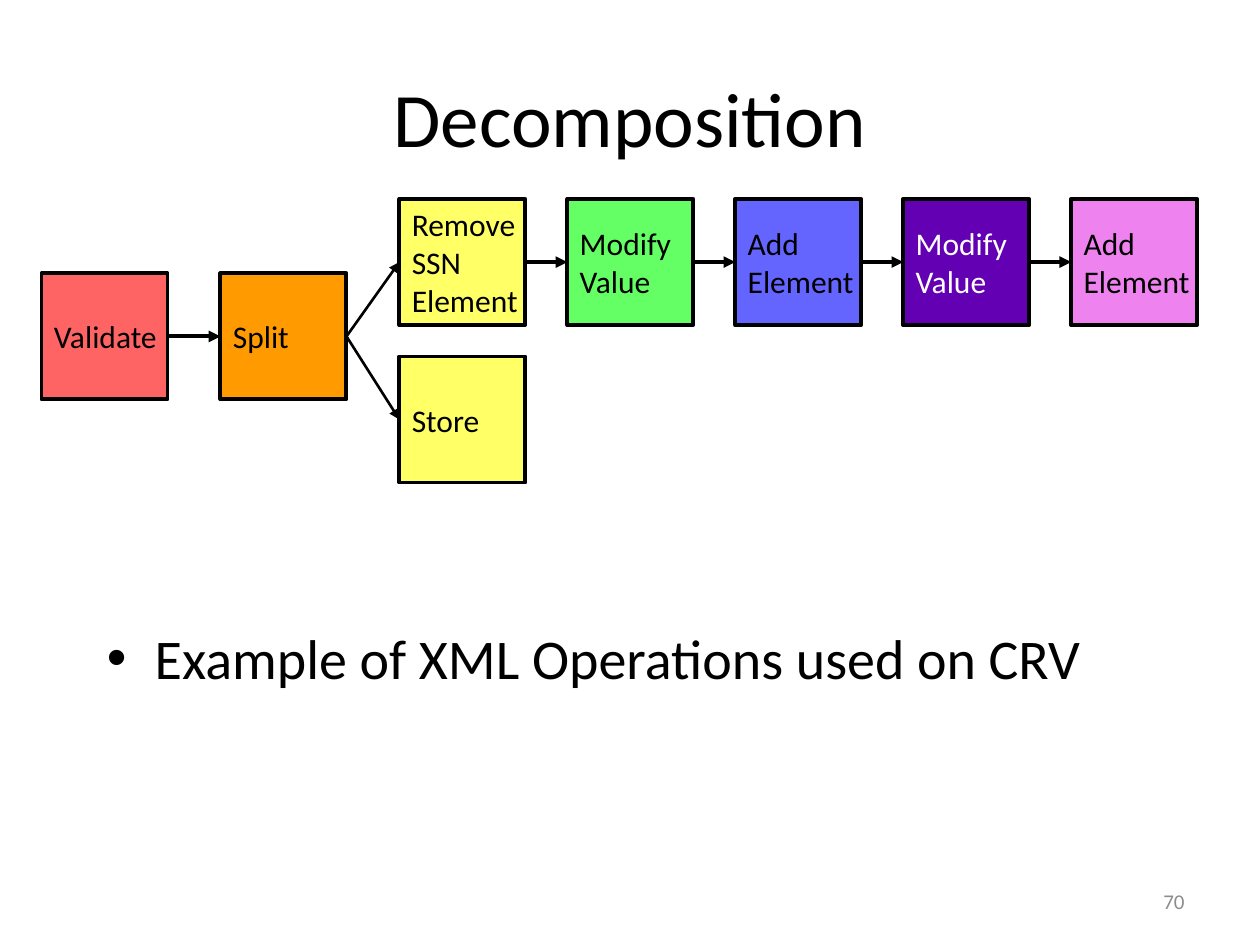
"""Build the Decomposition slide: a chain of XML operations with one split."""
from dataclasses import dataclass

from lxml.etree import SubElement
from pptx import Presentation
from pptx.dml.color import RGBColor as RGB
from pptx.enum.shapes import MSO_CONNECTOR as Connector, MSO_SHAPE as Shape
from pptx.enum.text import MSO_ANCHOR as Anchor, PP_ALIGN as Align
from pptx.oxml.ns import qn
from pptx.util import Inches, Pt


@dataclass(frozen=True)
class Theme:
    font: str = "Calibri"
    black: str = "000000"
    white: str = "FFFFFF"
    gray: str = "8C8C8C"
    red: str = "FF6464"
    orange: str = "FF9B00"
    yellow: str = "FFFF66"
    green: str = "64FF64"
    blue: str = "6464FF"
    purple: str = "6300B4"
    violet: str = "EE82EE"
    title_size: int = 44
    body_size: int = 32
    step_size: int = 18
    number_size: int = 12
    heavy_line: float = 2.25
    light_line: float = 1.5


theme = Theme()


def write(frame, text, size, color, align, anchor):
    frame.text = text
    frame.word_wrap = True
    frame.vertical_anchor = anchor
    for paragraph in frame.paragraphs:
        paragraph.alignment = align
        paragraph.font.name = theme.font
        paragraph.font.size = Pt(size)
        paragraph.font.color.rgb = RGB.from_string(color)


prs = Presentation()
prs.slide_width, prs.slide_height = Inches(10), Inches(7.5)
slide = prs.slides.add_slide(prs.slide_layouts[5])
shapes = slide.shapes

title = shapes.title
title.left, title.top = Inches(0.5), Inches(0.3)
title.width, title.height = Inches(9), Inches(1.25)
write(title.text_frame, "Decomposition", theme.title_size, theme.black, Align.CENTER, Anchor.MIDDLE)

page_number = shapes.add_textbox(Inches(7.17), Inches(6.95), Inches(2.33), Inches(0.4))
write(page_number.text_frame, "70", theme.number_size, theme.gray, Align.RIGHT, Anchor.MIDDLE)

summary = shapes.add_textbox(Inches(0.75), Inches(4.9), Inches(8.5), Inches(1.73))
write(summary.text_frame, "Example of XML Operations used on CRV",
      theme.body_size, theme.black, Align.LEFT, Anchor.TOP)
summary_line = summary.text_frame.paragraphs[0]
summary_line.space_before = Pt(theme.body_size * 0.2)
bullet_props = summary_line._p.get_or_add_pPr()
bullet_props.set("marL", str(Inches(0.38)))
bullet_props.set("indent", str(Inches(-0.38)))
bullet_font = SubElement(bullet_props, qn("a:buFont"))
bullet_font.set("typeface", "Arial")
bullet = SubElement(bullet_props, qn("a:buChar"))
bullet.set("char", "•")
bullet_props.append(bullet_props.find(qn("a:defRPr")))

entry_left, entry_pitch = 0.33, 1.42
branch_left, branch_pitch = 3.17, 1.333
entry_top, upper_top, lower_top = 2.17, 1.58, 2.83
operations = [
    ("Remove\nSSN\nElement", theme.yellow, theme.black),
    ("Modify\nValue", theme.green, theme.black),
    ("Add\nElement", theme.blue, theme.black),
    ("Modify\nValue", theme.purple, theme.white),
    ("Add\nElement", theme.violet, theme.black),
]
steps = [
    ("Validate", theme.red, theme.black, entry_left, entry_top),
    ("Split", theme.orange, theme.black, entry_left + entry_pitch, entry_top),
    ("Store", theme.yellow, theme.black, branch_left, lower_top),
]
steps += [(*operation, branch_left + i * branch_pitch, upper_top)
          for i, operation in enumerate(operations)]

boxes = []
for label, fill, ink, left, top in steps:
    box = shapes.add_shape(Shape.RECTANGLE, Inches(left), Inches(top), Inches(1), Inches(1))
    box.shadow.inherit = False
    box.fill.solid()
    box.fill.fore_color.rgb = RGB.from_string(fill)
    box.line.color.rgb = RGB.from_string(theme.black)
    box.line.width = Pt(theme.heavy_line)
    box.text_frame.margin_right = 0
    write(box.text_frame, label, theme.step_size, ink, Align.LEFT, Anchor.MIDDLE)
    boxes.append(box)

validate, split, store, *chain = boxes
flows = [
    (validate, split, theme.heavy_line),
    (split, chain[0], theme.light_line),
    (split, store, theme.light_line),
]
flows += [(before, after, theme.heavy_line) for before, after in zip(chain, chain[1:])]

for source, target, width in flows:
    arrow = shapes.add_connector(Connector.STRAIGHT, 0, 0, 0, 0)
    arrow.begin_connect(source, 3)
    arrow.end_connect(target, 1)
    arrow.line.color.rgb = RGB.from_string(theme.black)
    arrow.line.width = Pt(width)
    head = SubElement(arrow.line._get_or_add_ln(), qn("a:tailEnd"))
    head.set("type", "triangle")
    SubElement(arrow._element.spPr, qn("a:effectLst"))

prs.save("out.pptx")
